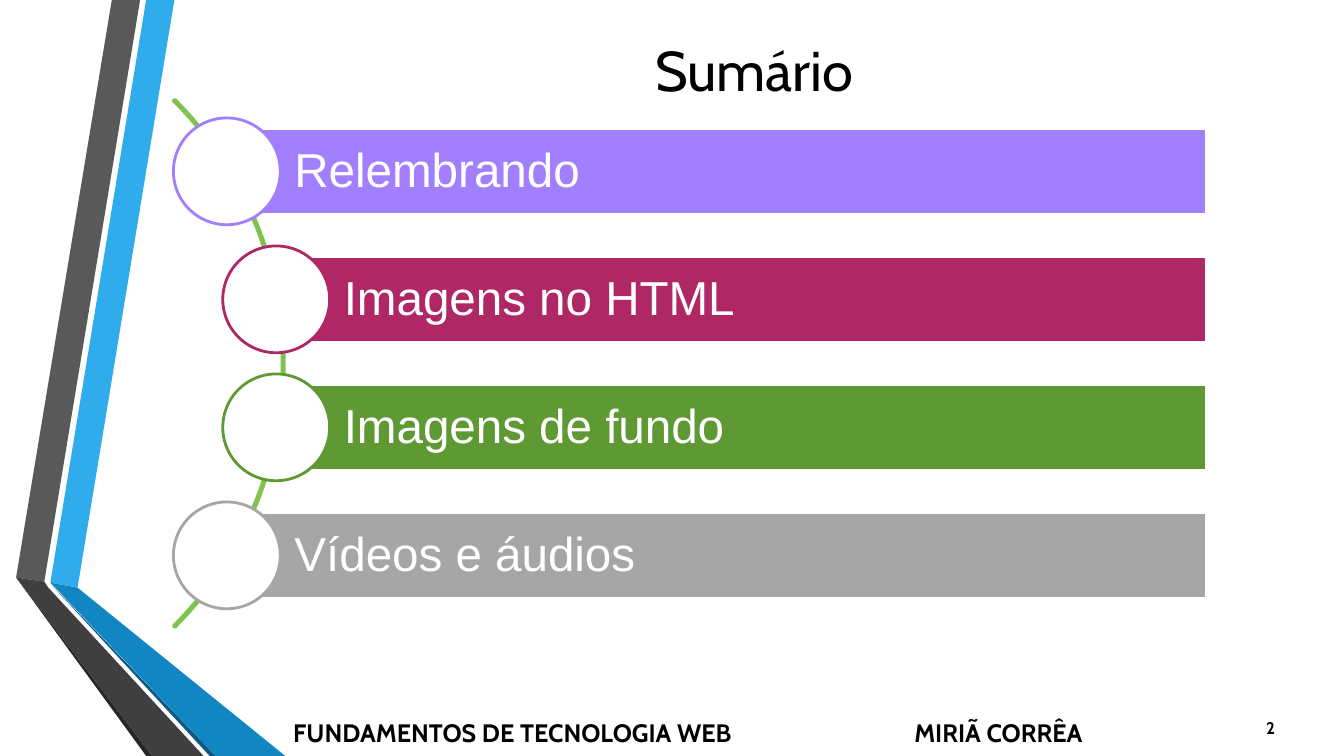
from pptx import Presentation
from pptx import util as u
from pptx.dml import color
from pptx.enum import shapes, text

PX = 9144
WHITE = "FFFFFF"
RIBBONS = [
    ("30ACEC", [(34, 578), (61, 583), (157, 0), (129, 0)]),
    ("595959", [(123, 0), (95, 0), (0, 573), (28, 577)]),
    ("262626", [(0, 573), (129, 750), (135, 750)]),
    ("0B5982", [(34, 579), (192, 750), (198, 750)]),
    ("1186C3", [(34, 578), (198, 750), (267, 750), (61, 583)]),
    ("3F3F3F", [(186, 750), (32, 583), (28, 577), (0, 573), (135, 750)]),
]
TOPICS = [
    ("Relembrando", "A17FFF", 53),
    ("Imagens no HTML", "AF2764", 102),
    ("Imagens de fundo", "5F9934", 102),
    ("Vídeos e áudios", "A6A6A6", 53),
]


def px(*lengths):
    """Turn pixel lengths into EMU."""
    return [u.Emu(round(n * PX)) for n in lengths]


def rgb(value):
    """Turn a hex string into a colour."""
    return color.RGBColor.from_string(value)


def paint(sp, fill=None, line=None):
    """Set fill and outline, and remove the shadow."""
    sp.shadow.inherit = False
    if fill:
        sp.fill.solid()
        sp.fill.fore_color.rgb = rgb(fill)
    else:
        sp.fill.background()
    if line:
        sp.line.color.rgb = rgb(line)
        sp.line.width = u.Pt(2)
    else:
        sp.line.fill.background()


def write(sp, words, size, font="Cabin", ink="000000", bold=False,
          align=text.PP_ALIGN.LEFT, anchor=text.MSO_ANCHOR.MIDDLE,
          insets=(10, 5, 10, 5), spacing=1.0, wrap=True):
    """Put one formatted paragraph in a shape."""
    tf = sp.text_frame
    tf.word_wrap = wrap
    tf.auto_size = text.MSO_AUTO_SIZE.NONE
    tf.vertical_anchor = anchor
    (tf.margin_left, tf.margin_top,
     tf.margin_right, tf.margin_bottom) = px(*insets)
    p = tf.paragraphs[0]
    p.alignment = align
    p.line_spacing = spacing
    r = p.add_run()
    r.text = words
    r.font.name, r.font.size, r.font.bold = font, u.Pt(size), bold
    r.font.color.rgb = rgb(ink)


def add_ribbons(s, x, y):
    """Draw the folded ribbons from the given corner."""
    for fill, points in RIBBONS:
        start, *rest = [(x + dx, y + dy) for dx, dy in points]
        outline = s.shapes.build_freeform(*start, scale=PX)
        outline.add_line_segments(rest, close=True)
        paint(outline.convert_to_shape(), fill)


def add_title(s, x, y, w, h):
    """Move and fill the title placeholder."""
    sp = s.shapes.title
    sp.left, sp.top, sp.width, sp.height = px(x, y, w, h)
    write(sp, "Sumário", 40, align=text.PP_ALIGN.CENTER, insets=(0, 1, 0, 0))


def add_agenda(s, x, y, w, h):
    """Draw the arc and one bar with a disc for each topic."""
    bar, disc, pitch, arc = 85, 106, 127, 741
    sp = s.shapes.add_shape(
        shapes.MSO_SHAPE.BLOCK_ARC,
        *px(x + 110 - arc, y + (h - arc) / 2, arc, arc))
    for i, value in enumerate((189, 27, 0.003)):
        sp.adjustments[i] = value
    paint(sp, line="80C34F")
    for i, (words, tint, indent) in enumerate(TOPICS):
        top = y + i * pitch
        sp = s.shapes.add_shape(
            shapes.MSO_SHAPE.RECTANGLE,
            *px(x + indent, top + 11, w - indent, bar))
        paint(sp, tint, WHITE)
        write(sp, words, 34, "Arial", WHITE, insets=(67, 9, 9, 9), spacing=0.9)
        sp = s.shapes.add_shape(
            shapes.MSO_SHAPE.OVAL,
            *px(x + indent - disc / 2, top, disc, disc))
        paint(sp, WHITE, tint)


def add_footer(s, x, y, w, h):
    """Place course, author and page number along the bottom."""
    top, middle = text.MSO_ANCHOR.TOP, text.MSO_ANCHOR.MIDDLE
    for words, left, width, size, anchor in (
            ("FUNDAMENTOS DE TECNOLOGIA WEB", 0, 519, 18, top),
            ("MIRIÃ CORRÊA", 616, 252, 18, middle),
            ("2", w - 72, 72, 12, top)):
        sp = s.shapes.add_textbox(*px(x + left, y, width, h))
        write(sp, words, size, bold=True, anchor=anchor)


def main():
    """Build and save the slide."""
    prs = Presentation()
    prs.slide_width, prs.slide_height = px(1333, 750)
    s = prs.slides.add_slide(prs.slide_layouts[5])
    add_ribbons(s, 16, 0)
    add_title(s, 163, 34, 1170, 69)
    add_agenda(s, 172, 117, 1025, 487)
    add_footer(s, 281, 707, 1037, 40)
    prs.save("out.pptx")


if __name__ == "__main__":
    main()
